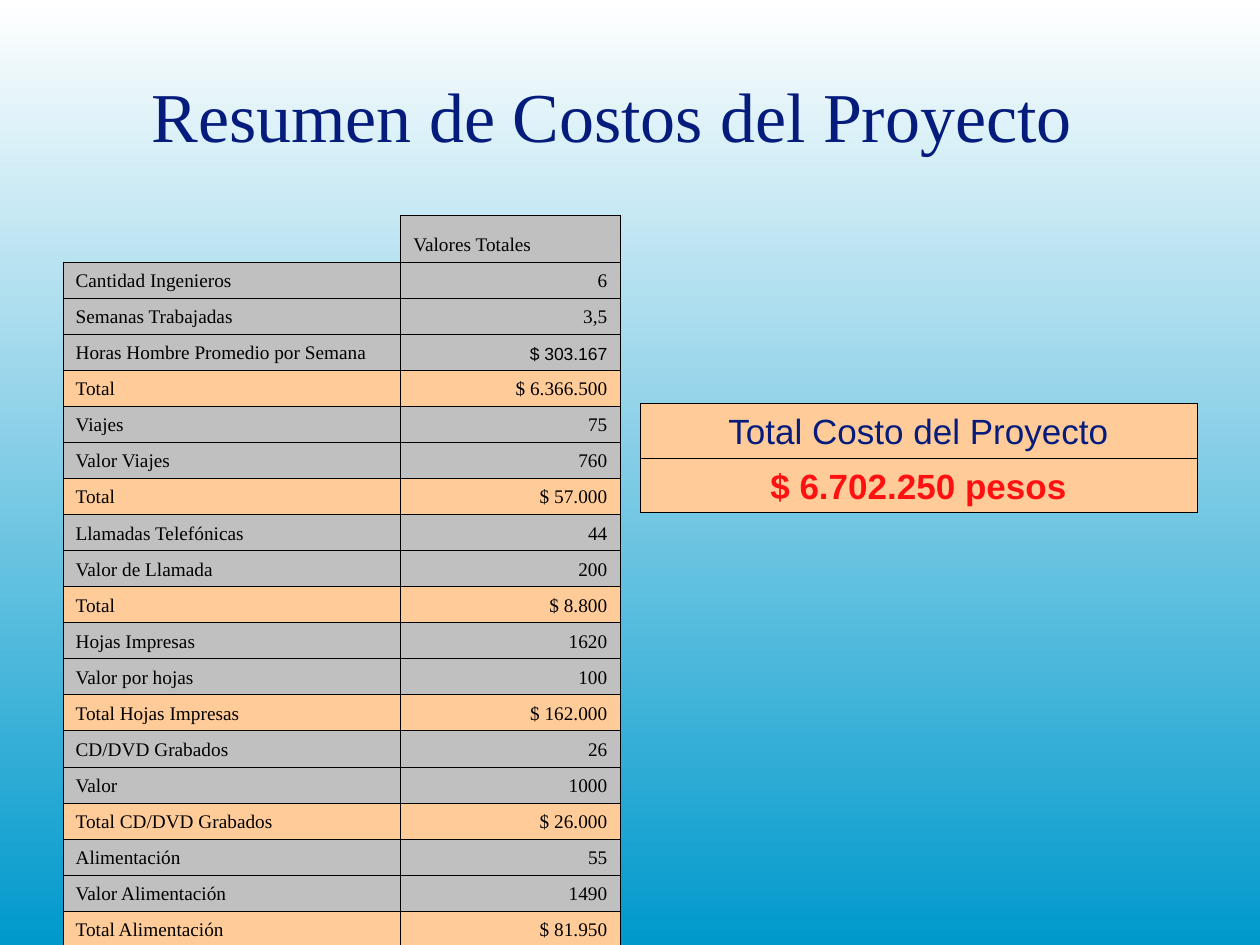
from pptx import Presentation
from pptx.dml.color import RGBColor
from pptx.enum.text import MSO_ANCHOR, PP_ALIGN
from pptx.oxml.ns import qn
from pptx.util import Inches, Pt
from lxml import etree

LEFT, CENTER, RIGHT = PP_ALIGN.LEFT, PP_ALIGN.CENTER, PP_ALIGN.RIGHT
MIDDLE, BOTTOM = MSO_ANCHOR.MIDDLE, MSO_ANCHOR.BOTTOM
SERIF, SANS = "Times New Roman", "Arial"
NAVY, RED, BLACK = "061C7C", "FF1111", "000000"
GRAY, PEACH = "C0C0C0", "FFCC99"
SKY = ("FFFFFF", "0099CC")

TITLE = "Resumen de Costos del Proyecto"
HEADING = "Valores Totales"
COSTS = [
    ("Cantidad Ingenieros", "6"),
    ("Semanas Trabajadas", "3,5"),
    ("Horas Hombre Promedio por Semana", "$ 303.167"),
    ("Total", "$ 6.366.500"),
    ("Viajes", "75"),
    ("Valor Viajes", "760"),
    ("Total", "$ 57.000"),
    ("Llamadas Telefónicas", "44"),
    ("Valor de Llamada", "200"),
    ("Total", "$ 8.800"),
    ("Hojas Impresas", "1620"),
    ("Valor por hojas", "100"),
    ("Total Hojas Impresas", "$ 162.000"),
    ("CD/DVD Grabados", "26"),
    ("Valor", "1000"),
    ("Total CD/DVD Grabados", "$ 26.000"),
    ("Alimentación", "55"),
    ("Valor Alimentación", "1490"),
    ("Total Alimentación", "$ 81.950"),
]
HOURLY_COST = "$ 303.167"
GRAND_TOTAL = [
    ("Total Costo del Proyecto", {"color": NAVY}),
    ("$ 6.702.250 pesos", {"color": RED, "bold": True}),
]
HEADING_HEIGHT, COSTS_HEIGHT, GRAND_TOTAL_HEIGHT = 0.37, 5.44, 0.87


def rgb(value):
    return RGBColor.from_string(value)


def write(frame, text, size=11, font=SERIF, color=BLACK, bold=False, align=LEFT):
    paragraph = frame.paragraphs[0]
    paragraph.alignment = align
    run = paragraph.add_run()
    run.text = text
    run.font.size, run.font.name, run.font.bold = Pt(size), font, bold
    run.font.color.rgb = rgb(color)


def set_borders(cell, sides="LRTB"):
    """Draw thin black lines on the given sides and none on the others."""
    properties = cell._tc.get_or_add_tcPr()
    for side in "LRTB":
        line = etree.SubElement(properties, qn(f"a:ln{side}"), w=str(Pt(0.45)))
        if side in sides:
            fill = etree.SubElement(line, qn("a:solidFill"))
            etree.SubElement(fill, qn("a:srgbClr"), val=BLACK)
        else:
            etree.SubElement(line, qn("a:noFill"))


def fill_cell(cell, text, background, **text_format):
    cell.vertical_anchor = BOTTOM
    set_borders(cell)
    cell.fill.solid()
    cell.fill.fore_color.rgb = rgb(background)
    write(cell.text_frame, text, **text_format)


def add_grid(slide, left, top, widths, heights):
    grid = slide.shapes.add_table(
        len(heights), len(widths), Inches(left), Inches(top),
        Inches(sum(widths)), Inches(sum(heights))).table
    grid.first_row = grid.horz_banding = False
    for column, width in zip(grid.columns, widths):
        column.width = Inches(width)
    for row, height in zip(grid.rows, heights):
        row.height = Inches(height)
    return grid


def add_title(slide):
    frame = slide.shapes.add_textbox(
        Inches(0.9), Inches(0.28), Inches(7.91), Inches(1.25)).text_frame
    frame.word_wrap = True
    frame.vertical_anchor = MIDDLE
    write(frame, TITLE, size=40, color=NAVY, align=CENTER)


def add_costs(slide):
    row_height = COSTS_HEIGHT / len(COSTS)
    grid = add_grid(slide, 0.5, 1.71, [2.68, 1.74],
                    [HEADING_HEIGHT] + [row_height] * len(COSTS))
    corner = grid.cell(0, 0)
    corner.margin_top = corner.margin_bottom = 0
    set_borders(corner, "RB")
    corner.fill.background()
    fill_cell(grid.cell(0, 1), HEADING, GRAY)
    for row, (concept, amount) in enumerate(COSTS, start=1):
        background = PEACH if concept.startswith("Total") else GRAY
        amount_format = {"size": 10, "font": SANS} if amount == HOURLY_COST else {}
        fill_cell(grid.cell(row, 0), concept, background)
        fill_cell(grid.cell(row, 1), amount, background, align=RIGHT, **amount_format)


def add_grand_total(slide):
    row_height = GRAND_TOTAL_HEIGHT / len(GRAND_TOTAL)
    grid = add_grid(slide, 5.08, 3.2, [4.42], [row_height] * len(GRAND_TOTAL))
    for row, (text, text_format) in enumerate(GRAND_TOTAL):
        fill_cell(grid.cell(row, 0), text, PEACH, size=20, font=SANS,
                  align=CENTER, **text_format)


def main():
    deck = Presentation()
    deck.slide_width, deck.slide_height = Inches(10), Inches(7.5)
    slide = deck.slides.add_slide(deck.slide_layouts[6])
    sky = slide.background.fill
    sky.gradient()
    sky.gradient_angle = 270
    for stop, color in zip(sky.gradient_stops, SKY):
        stop.color.rgb = rgb(color)
    add_title(slide)
    add_costs(slide)
    add_grand_total(slide)
    deck.save("out.pptx")


if __name__ == "__main__":
    main()
